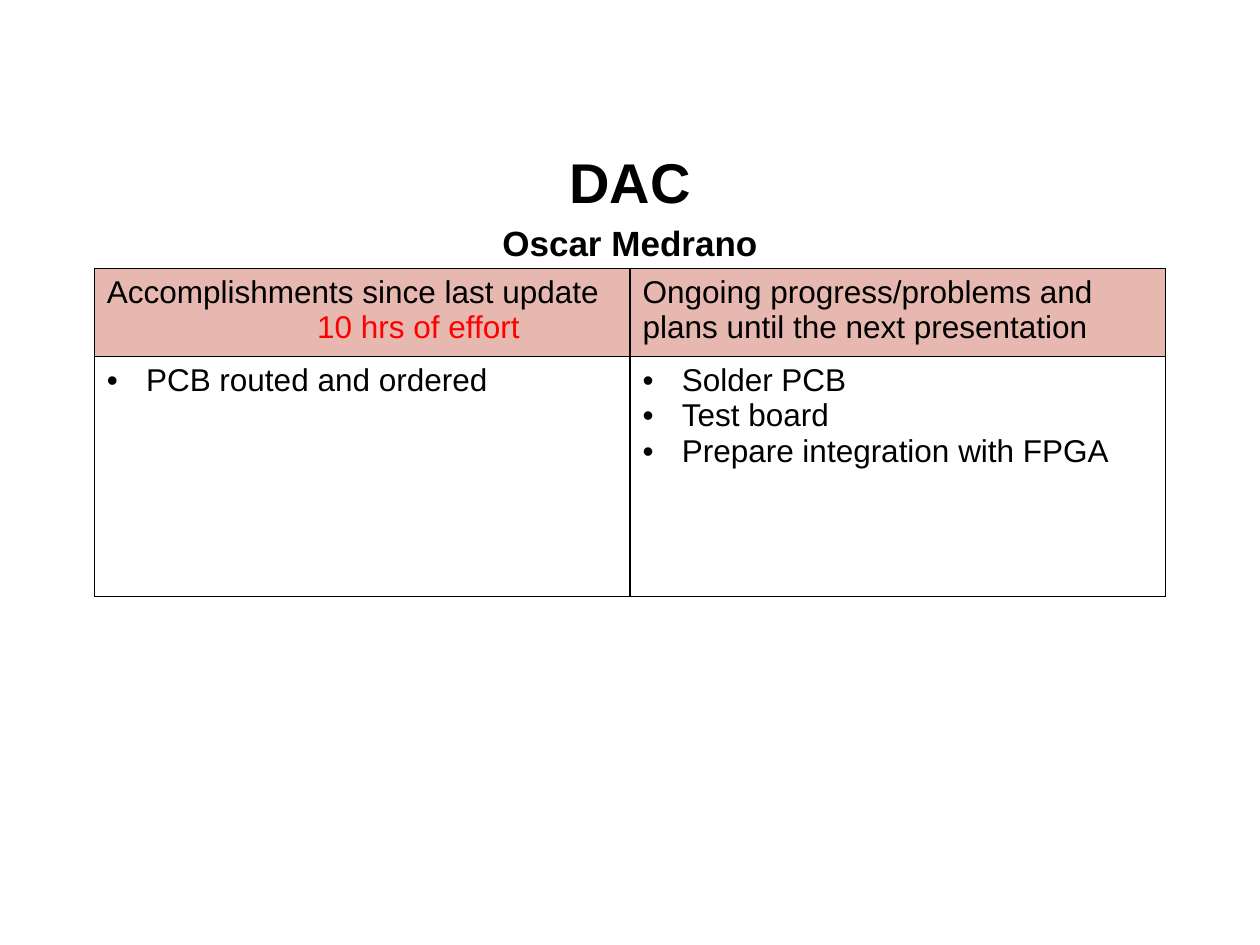
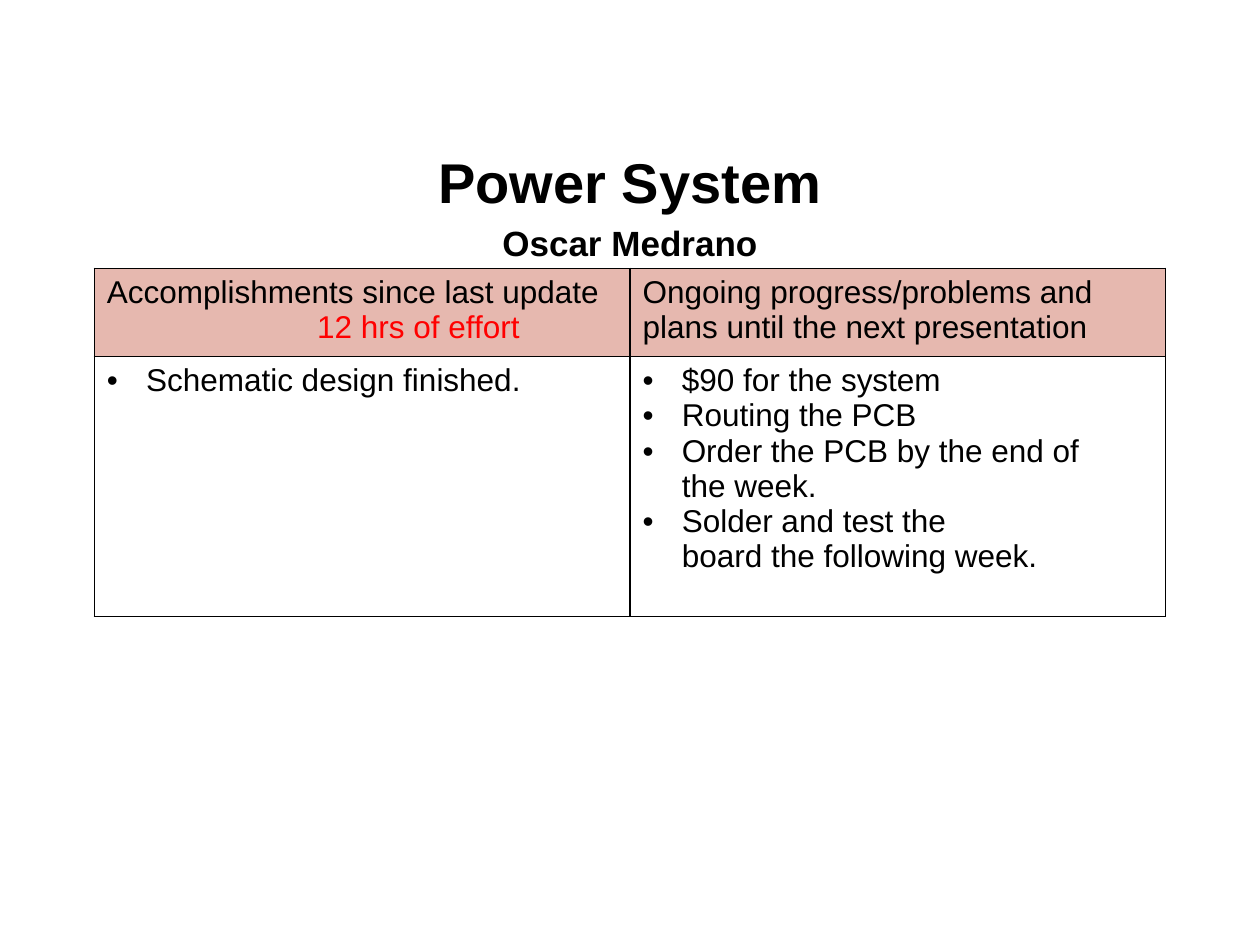
from dataclasses import dataclass

import pptx
import pptx.dml.color
import pptx.enum.text
import pptx.oxml
import pptx.oxml.ns
import pptx.util
from pptx.util import Cm

NBSP = chr(160)


@dataclass(frozen=True)
class Theme:
    """Colours, font and type sizes."""
    font: str = "Arial"
    ink: str = "000000"
    effort: str = "FF0000"
    header_fill: str = "E6B8AF"
    title_size: int = 32
    name_size: int = 20
    body_size: int = 18
    border_width: int = 1


THEME = Theme()
HEADER_HEIGHT = Cm(1.78)
EFFORT_INDENT = Cm(4.24)
BULLET_INDENT = Cm(0.79)


def add_run(p, text, size=THEME.body_size, color=THEME.ink, bold=False):
    """Append formatted text to a paragraph."""
    r = p.add_run()
    r.text = text.replace("~", NBSP)
    r.font.name = THEME.font
    r.font.size = pptx.util.Pt(size)
    r.font.bold = bold
    r.font.color.rgb = pptx.dml.color.RGBColor.from_string(color)
    return r


def add_xml(parent, xml):
    """Append a DrawingML element; the namespace is filled in."""
    ns = pptx.oxml.ns.nsdecls("a")
    tag, rest = xml[1:].split(" ", 1)
    parent.append(pptx.oxml.parse_xml(f"<{tag} {ns} {rest}"))


class Deck:
    def __init__(self, theme):
        self.theme = theme
        self.prs = pptx.Presentation()
        self.prs.slide_width, self.prs.slide_height = Cm(25.4), Cm(19.05)
        self.s = None

    def new_slide(self):
        self.s = self.prs.slides.add_slide(self.prs.slide_layouts[6])

    def title(self, topic, name):
        sp = self.s.shapes.add_textbox(Cm(1.27), Cm(2.92), Cm(22.86), Cm(2.24))
        tf = sp.text_frame
        tf.word_wrap = True
        tf.vertical_anchor = pptx.enum.text.MSO_ANCHOR.MIDDLE
        p = tf.paragraphs[0]
        p.alignment = pptx.enum.text.PP_ALIGN.CENTER
        p.line_spacing = 1.15
        add_run(p, topic, size=self.theme.title_size, bold=True)
        p.add_line_break()
        add_run(p, name, size=self.theme.name_size, bold=True)

    def status_table(self, hours, done, plans, body_height):
        frame = self.s.shapes.add_table(2, 2, Cm(1.9), Cm(5.41), Cm(21.6),
                                        HEADER_HEIGHT + body_height)
        table = frame.table
        table.rows[0].height = HEADER_HEIGHT
        table.rows[1].height = body_height

        # Header row
        left, right = table.cell(0, 0), table.cell(0, 1)
        p = left.text_frame.paragraphs[0]
        add_run(p, "Accomplishments since last update")
        p = left.text_frame.add_paragraph()
        p._p.get_or_add_pPr().set("marL", str(EFFORT_INDENT))
        add_run(p, f"{hours} hrs of effort", color=self.theme.effort)
        add_run(right.text_frame.paragraphs[0],
                "Ongoing progress/problems and plans until the next presentation")

        # Body row
        self.bullets(table.cell(1, 0), done)
        self.bullets(table.cell(1, 1), plans)

        for cell in table.iter_cells():
            self.borders(cell)
        for cell in (left, right):
            cell.fill.solid()
            cell.fill.fore_color.rgb = pptx.dml.color.RGBColor.from_string(
                self.theme.header_fill)
        for col in range(2):
            table.cell(1, col).fill.background()

    def bullets(self, cell, items):
        tf = cell.text_frame
        for i, item in enumerate(items):
            p = tf.add_paragraph() if i else tf.paragraphs[0]
            ppr = p._p.get_or_add_pPr()
            ppr.set("marL", str(BULLET_INDENT))
            ppr.set("indent", str(-BULLET_INDENT))
            add_xml(ppr, f'<a:buFont typeface="{self.theme.font}"/>')
            add_xml(ppr, '<a:buChar char="•"/>')
            add_run(p, item)

    def borders(self, cell):
        width = pptx.util.Pt(self.theme.border_width)
        tcpr = cell._tc.get_or_add_tcPr()
        for side in ("lnL", "lnR", "lnT", "lnB"):
            add_xml(tcpr, f'<a:{side} w="{width}"><a:solidFill><a:srgbClr '
                          f'val="{self.theme.ink}"/></a:solidFill></a:{side}>')


def main():
    deck = Deck(THEME)

    # DAC status
    deck.new_slide()
    deck.title("DAC", "Oscar Medrano")
    deck.status_table(
        10,
        ["PCB routed and ordered"],
        ["Solder PCB", "Test board", "Prepare integration with FPGA"],
        Cm(4.83))

    # Power system status; "~" keeps words on one line
    deck.new_slide()
    deck.title("Power System", "Oscar Medrano")
    deck.status_table(
        12,
        ["Schematic design finished."],
        ["$90 for the system", "Routing the~PCB",
         "Order the PCB by the end of the~week.",
         "Solder~and test the board~the~following week."],
        Cm(5.24))

    deck.prs.save("out.pptx")


if __name__ == "__main__":
    main()
